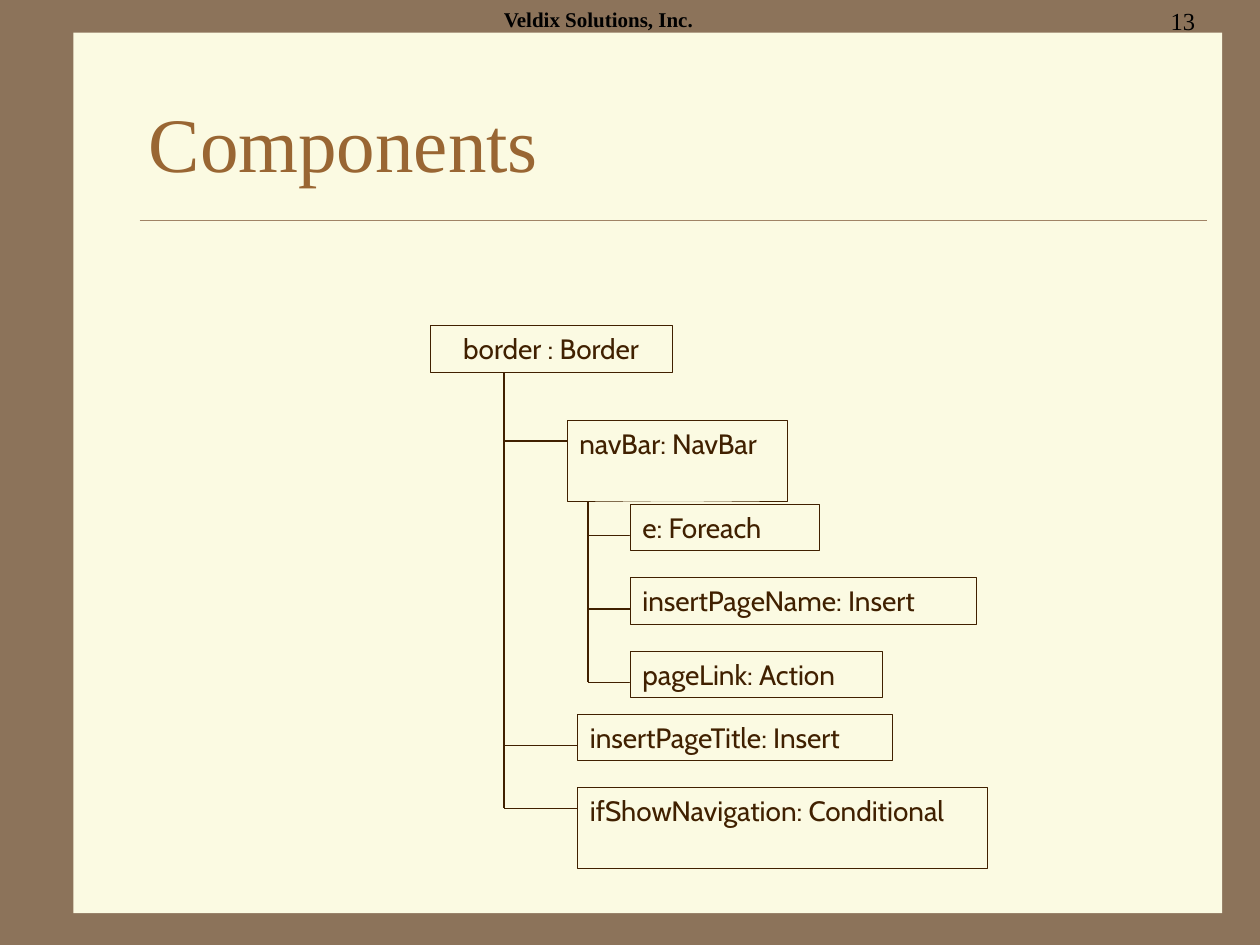
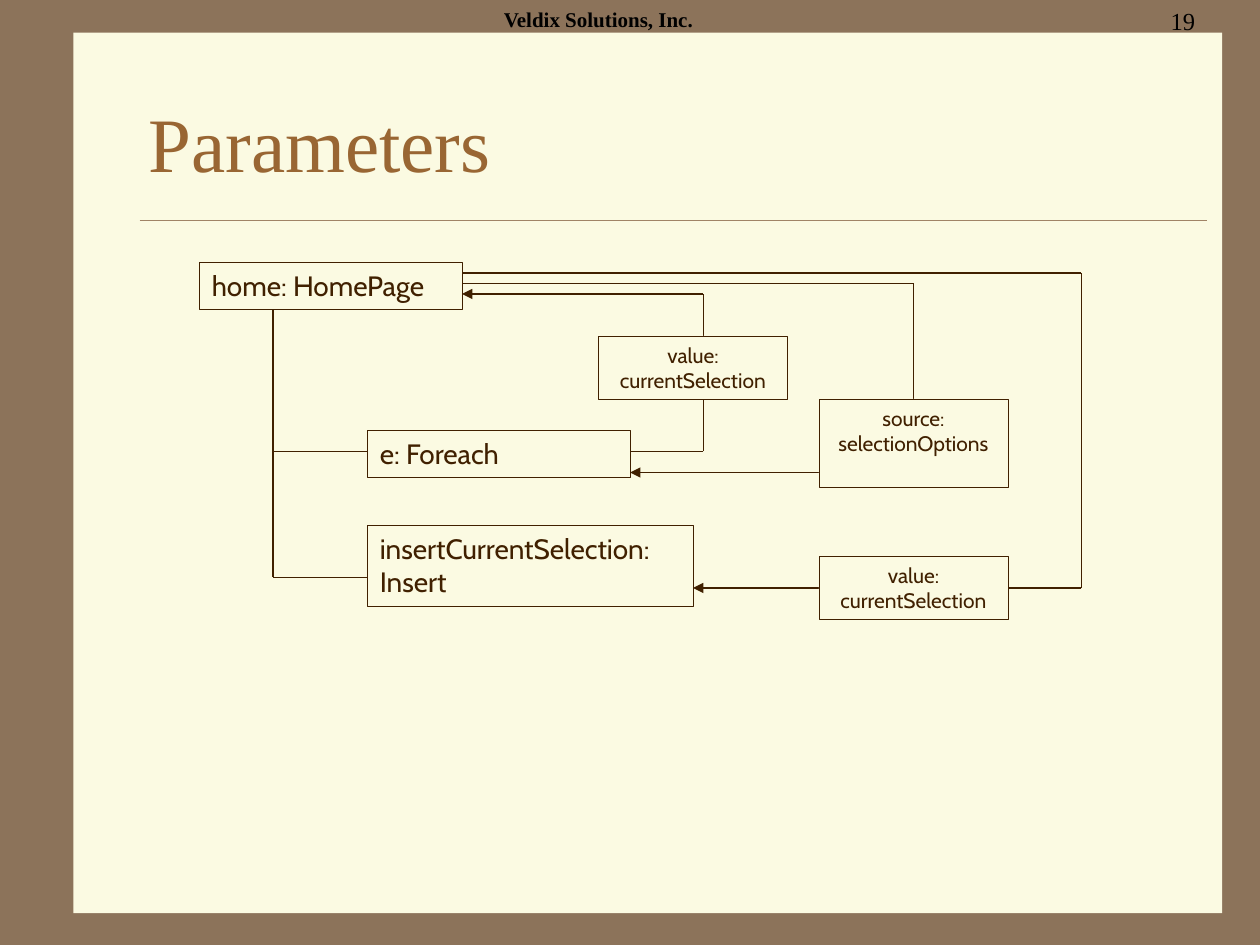
"""Builds two slides of component diagrams on a grid of twelve steps to the inch."""
from itertools import pairwise

from lxml.etree import SubElement
from pptx import Presentation
from pptx.dml.color import RGBColor as Rgb
from pptx.enum.shapes import MSO_CONNECTOR as Link, MSO_SHAPE as Preset
from pptx.enum.text import MSO_ANCHOR as Anchor, PP_ALIGN as Align
from pptx.oxml.ns import qn
from pptx.util import Cm, Pt

COLOURS = {
    "frame": "8C735A",
    "paper": "FBFAE2",
    "rule": "A08366",
    "title": "996633",
    "ink": "402000",
    "header": "000000",
}
SERIF, SANS = "Times New Roman", "Cabin"
STEP = 2.54 / 12
ONE_LINE, TWO_LINES = 4.45, 7.7


def write(slide, text, place, size=16, font=SANS, colour="ink", bold=False,
          align=Align.LEFT, anchor=Anchor.TOP, boxed=False):
    place = [Cm(STEP * steps) for steps in place]
    if boxed:
        holder = slide.shapes.add_shape(Preset.RECTANGLE, *place)
        holder.shadow.inherit = False
        holder.fill.solid()
        holder.fill.fore_color.rgb = Rgb.from_string(COLOURS["paper"])
        holder.line.color.rgb = Rgb.from_string(COLOURS["ink"])
        holder.line.width = Pt(0.25)
    else:
        holder = slide.shapes.add_textbox(*place)
    frame = holder.text_frame
    frame.word_wrap = True
    frame.vertical_anchor = anchor
    paragraph = frame.paragraphs[0]
    paragraph.text = text
    paragraph.alignment = align
    paragraph.font.size = Pt(size)
    paragraph.font.name = font
    paragraph.font.bold = bold
    paragraph.font.color.rgb = Rgb.from_string(COLOURS[colour])


def draw_route(slide, points, colour="ink", width=0.75, arrow=False):
    for start, end in pairwise(points):
        ends = [Cm(STEP * steps) for steps in (*start, *end)]
        segment = slide.shapes.add_connector(Link.STRAIGHT, *ends)
        segment.line.color.rgb = Rgb.from_string(COLOURS[colour])
        segment.line.width = Pt(width)
        if arrow and end == points[-1]:
            SubElement(segment.line._get_or_add_ln(), qn("a:tailEnd"), type="triangle")
        SubElement(segment._element.spPr, qn("a:effectLst"))


diagrams = [
    {
        "title": "Components",
        "number": "13",
        "trunks": [(48, 34, 55, (42, 71, 77)), (56, 47, 60, (51, 58, 65))],
        "flows": [],
        "components": [
            ("border : Border", (41, 31, 23, ONE_LINE), Align.CENTER),
            ("navBar: NavBar", (54, 40, 21, TWO_LINES), Align.LEFT),
            ("insertPageTitle: Insert", (55, 68, 30, ONE_LINE), Align.LEFT),
            ("ifShowNavigation: Conditional", (55, 75, 39, TWO_LINES), Align.LEFT),
            ("e: Foreach", (60, 48, 18, ONE_LINE), Align.LEFT),
            ("insertPageName: Insert", (60, 55, 33, ONE_LINE), Align.LEFT),
            ("pageLink: Action", (60, 62, 24, ONE_LINE), Align.LEFT),
        ],
    },
    {
        "title": "Parameters",
        "number": "19",
        "trunks": [(26, 29, 35, (43, 55))],
        "flows": [
            ("source: selectionOptions", (78, 38, 18, 8.4),
             [(44, 27), (87, 27), (87, 45), (60, 45)]),
            ("value: currentSelection", (57, 32, 18, 6),
             [(60, 43), (67, 43), (67, 28), (44, 28)]),
            ("value: currentSelection", (78, 53, 18, 6),
             [(44, 26), (103, 26), (103, 56), (66, 56)]),
        ],
        "components": [
            ("home: HomePage", (19, 25, 25, ONE_LINE), Align.LEFT),
            ("e: Foreach", (35, 41, 25, ONE_LINE), Align.LEFT),
            ("insertCurrentSelection: Insert", (35, 50, 31, TWO_LINES), Align.LEFT),
        ],
    },
]

deck = Presentation()
deck.slide_width, deck.slide_height = Cm(25.4), Cm(19.05)

for diagram in diagrams:
    slide = deck.slides.add_slide(deck.slide_layouts[6])
    slide.background.fill.solid()
    slide.background.fill.fore_color.rgb = Rgb.from_string(COLOURS["frame"])

    paper = slide.shapes.add_shape(Preset.RECTANGLE, Cm(1.48), Cm(0.66), Cm(23.16), Cm(17.75))
    paper.shadow.inherit = False
    paper.fill.solid()
    paper.fill.fore_color.rgb = Rgb.from_string(COLOURS["paper"])
    paper.line.fill.background()

    draw_route(slide, [(13.3, 21), (115, 21)], colour="rule", width=0.25)
    write(slide, diagram["title"], (13, 6, 102, 15), size=44, font=SERIF,
          colour="title", anchor=Anchor.MIDDLE)

    for trunk, top, branch_end, rows in diagram["trunks"]:
        draw_route(slide, [(trunk, top), (trunk, rows[-1])])
        for row in rows:
            draw_route(slide, [(trunk, row), (branch_end, row)])

    for parameter, place, route in diagram["flows"]:
        draw_route(slide, route, arrow=True)
        write(slide, parameter, place, size=12, align=Align.CENTER, boxed=True)

    for component, place, align in diagram["components"]:
        write(slide, component, place, align=align, boxed=True)

    write(slide, "Veldix Solutions, Inc.", (38, 0, 38, 6), size=12, font=SERIF,
          colour="header", bold=True, align=Align.CENTER)
    write(slide, diagram["number"], (90, 0, 25, 6), size=14, font=SERIF,
          colour="header", align=Align.RIGHT)

deck.save("out.pptx")
